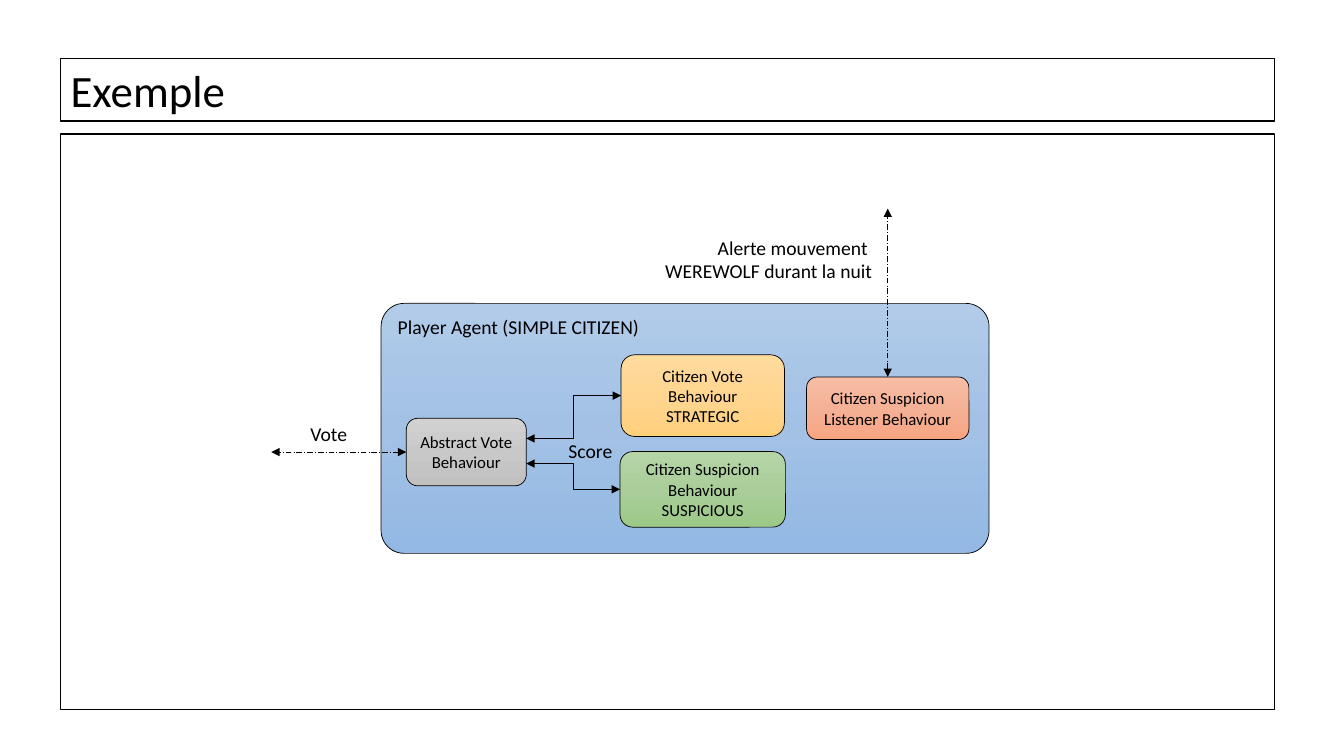
import copy

import lxml.etree
import pptx
import pptx.dml.color
import pptx.enum.dml
import pptx.enum.shapes
import pptx.enum.text
import pptx.oxml.ns
import pptx.util

SHAPES = pptx.enum.shapes.MSO_SHAPE
CONNECTORS = pptx.enum.shapes.MSO_CONNECTOR
ANCHOR = pptx.enum.text.MSO_ANCHOR
ALIGN = pptx.enum.text.PP_ALIGN
AUTO_SIZE = pptx.enum.text.MSO_AUTO_SIZE
LONG_DASH_DOT = pptx.enum.dml.MSO_LINE.LONG_DASH_DOT
qn = pptx.oxml.ns.qn

TOP_SITE, LEFT_SITE = 0, 1


def color(hex_string):
    return pptx.dml.color.RGBColor.from_string(hex_string)


def apply_format(target, values):
    for name, value in values.items():
        setattr(target, name, value)


class AgentSlide:
    cell = 0.1
    font_name = "Calibri"
    ink = "000000"
    panel_fill = "FFFFFF"
    panel_opacity = "48000"

    def __init__(self, presentation):
        self.slide = presentation.slides.add_slide(presentation.slide_layouts[5])
        self.shapes = self.slide.shapes

    def grid(self, *cells):
        return [pptx.util.Inches(count * self.cell) for count in cells]

    def set_text(self, shape, lines, size, align=ALIGN.LEFT, **frame_format):
        text_frame = shape.text_frame
        text_frame.text = "\n".join(lines)
        apply_format(text_frame, {"word_wrap": True, **frame_format})
        for paragraph in text_frame.paragraphs:
            paragraph.alignment = align
            font = paragraph.runs[0].font
            apply_format(font, {"name": self.font_name, "size": pptx.util.Pt(size)})
            font.color.rgb = color(self.ink)

    def outline(self, shape, width):
        shape.line.color.rgb = color(self.ink)
        shape.line.width = pptx.util.Pt(width)

    def style_panel(self, shape):
        shape.fill.solid()
        shape.fill.fore_color.rgb = color(self.panel_fill)
        fill_color = shape._element.spPr.find(f"{qn('a:solidFill')}/{qn('a:srgbClr')}")
        lxml.etree.SubElement(fill_color, qn("a:alpha"), val=self.panel_opacity)
        self.outline(shape, 1)

    def title(self, text, place):
        shape = self.shapes.title
        apply_format(shape, dict(zip(("left", "top", "width", "height"), self.grid(*place))))
        self.style_panel(shape)
        self.set_text(shape, [text], 32, vertical_anchor=ANCHOR.MIDDLE, auto_size=AUTO_SIZE.NONE)

    def panel(self, place):
        shape = self.shapes.add_shape(SHAPES.RECTANGLE, *self.grid(*place))
        shape.shadow.inherit = False
        self.style_panel(shape)

    def box(self, lines, place, gradient, size=12, align=ALIGN.CENTER,
            anchor=ANCHOR.MIDDLE, rounding=0.167):
        shape = self.shapes.add_shape(SHAPES.ROUNDED_RECTANGLE, *self.grid(*place))
        shape.shadow.inherit = False
        shape.adjustments[0] = rounding
        shape.fill.gradient()
        shape.fill.gradient_angle = 270
        stop_list = shape._element.spPr.find(f"{qn('a:gradFill')}/{qn('a:gsLst')}")
        stop_list.insert(1, copy.deepcopy(stop_list[0]))
        for stop, hex_string, position in zip(shape.fill.gradient_stops, gradient, (0, 0.5, 1)):
            stop.color.rgb = color(hex_string)
            stop.position = position
        self.outline(shape, 0.5)
        self.set_text(shape, lines, size, align, vertical_anchor=anchor)
        return shape

    def arrow(self, box, site, end, kind=CONNECTORS.STRAIGHT, dash=None):
        connector = self.shapes.add_connector(kind, *self.grid(*end, *end))
        connector.begin_connect(box, site)
        self.outline(connector, 0.5)
        connector.line.dash_style = dash
        properties = connector._element.spPr
        line = properties.find(qn("a:ln"))
        for tip in ("a:headEnd", "a:tailEnd"):
            lxml.etree.SubElement(line, qn(tip), type="triangle")
        lxml.etree.SubElement(properties, qn("a:effectLst"))

    def label(self, lines, place, align=ALIGN.LEFT):
        shape = self.shapes.add_textbox(*self.grid(*place))
        self.set_text(shape, lines, 14, align, auto_size=AUTO_SIZE.SHAPE_TO_FIT_TEXT)


def main():
    presentation = pptx.Presentation()
    apply_format(presentation, {"slide_width": pptx.util.Inches(13.33),
                                "slide_height": pptx.util.Inches(7.5)})
    page = AgentSlide(presentation)
    page.title("Exemple", (6, 5.8, 120.4, 6.2))
    page.panel((6, 13.3, 120.4, 57.1))

    page.box(["Player Agent (SIMPLE CITIZEN)"], (37.8, 30.1, 60.3, 24.8),
             ("B1CBE9", "A3C1E5", "93B9E4"), 14, ALIGN.LEFT, ANCHOR.TOP, 0.092)
    strategic = page.box(["Citizen Vote Behaviour", "STRATEGIC"], (61.6, 35.2, 16.2, 8.1),
                         ("FFDB9E", "FFD590", "FFD07C"))
    suspicious = page.box(["Citizen Suspicion Behaviour", "SUSPICIOUS"], (61.5, 44.8, 16.4, 7.5),
                          ("B5D5A7", "AACE9A", "9CC987"))
    vote = page.box(["Abstract Vote Behaviour"], (40.3, 41.5, 11.9, 6.7),
                    ("D2D2D2", "C8C8C8", "C0C0C0"))
    listener = page.box(["Citizen Suspicion Listener Behaviour"], (80, 37.4, 16.1, 6.2),
                        ("F7BDA5", "F5B196", "F8A582"))

    page.arrow(strategic, LEFT_SITE, (52.2, 43.5), CONNECTORS.ELBOW)
    page.arrow(suspicious, LEFT_SITE, (52.2, 46), CONNECTORS.ELBOW)
    page.arrow(vote, LEFT_SITE, (26.9, 44.85), dash=LONG_DASH_DOT)
    page.arrow(listener, TOP_SITE, (88.05, 20.7), dash=LONG_DASH_DOT)

    page.label(["Vote"], (29.8, 41.4, 13.7, 3.4))
    page.label(["Score"], (55.4, 43.1, 13.7, 3.4))
    page.label(["Alerte mouvement ", "WEREWOLF durant la nuit"], (58.4, 22.9, 29.1, 8.1),
               ALIGN.RIGHT)
    presentation.save("out.pptx")


if __name__ == "__main__":
    main()
